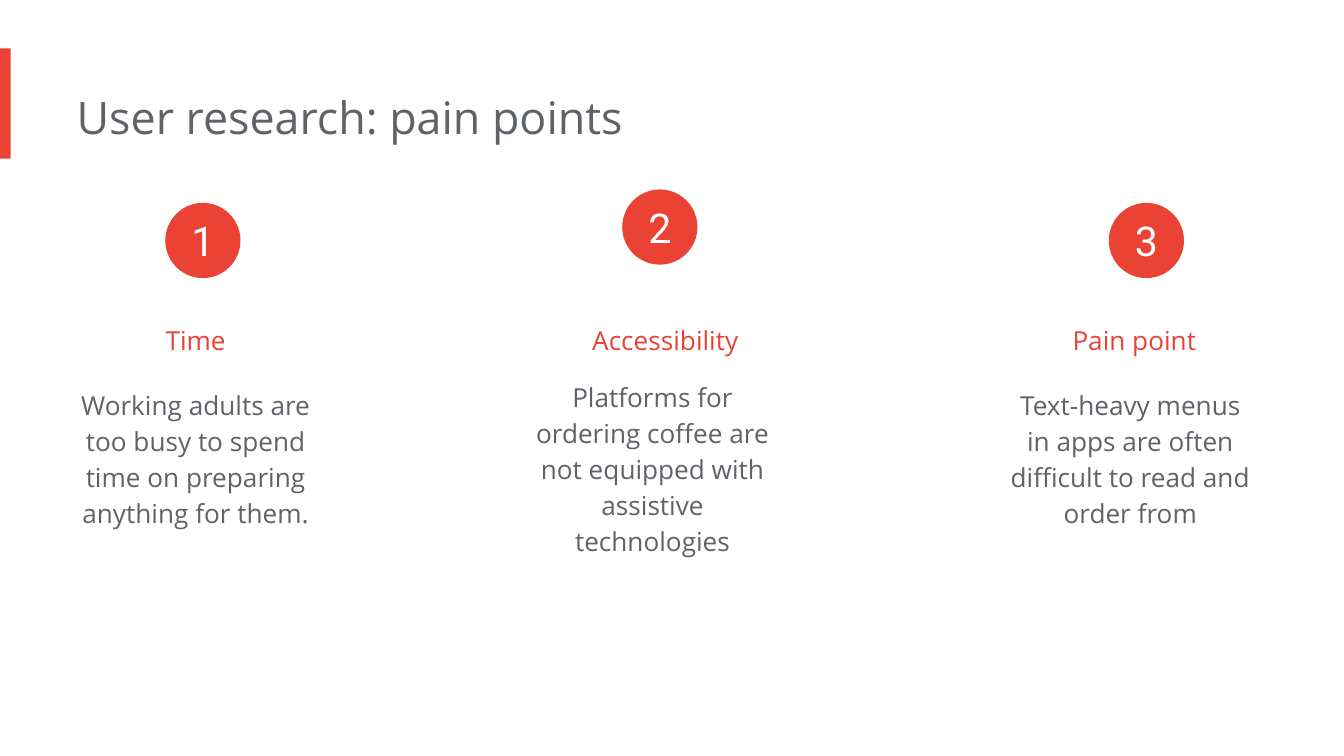
from collections import namedtuple

from pptx import Presentation
from pptx.dml.color import RGBColor
from pptx.enum.shapes import MSO_SHAPE
from pptx.enum.text import MSO_ANCHOR, MSO_AUTO_SIZE, PP_ALIGN
from pptx.util import Inches, Pt

RED = RGBColor(0xEA, 0x43, 0x35)
GRAY = RGBColor(0x5F, 0x63, 0x68)
WHITE = RGBColor(0xFF, 0xFF, 0xFF)
SLIDE_WIDTH = Inches(10)
SLIDE_HEIGHT = SLIDE_WIDTH * 9 // 16
CELL = SLIDE_WIDTH // 100
BADGE = 5.6

Box = namedtuple("Box", "left top width height")
PainPoint = namedtuple("PainPoint", "name detail box badge_left badge_top name_left name_width detail_top detail_height")

PAIN_POINTS = [
    PainPoint("Time", "Working adults are too busy to spend time on preparing anything for them.",
              Box(4.8, 14.1, 20.5, 28.1), 7.5, 1, 0, 20.5, 13.5, 12.5),
    PainPoint("Accessibility", "Platforms for ordering coffee are not equipped with assistive technologies",
              Box(38.8, 14.1, 20.5, 28.1), 7.5, 0, 2.3, 17.8, 12.9, 15.2),
    PainPoint("Pain point", "Text-heavy menus in apps are often difficult to read and order from",
              Box(75.1, 14.1, 19, 28.1), 7.4, 1, 2, 15.6, 13.5, 12.5),
]


def to_lengths(box):
    """Turn a box in grid cells into slide lengths."""
    return [round(value * CELL) for value in box]


def write(shape, text, size, color, align, spacing=1.0, font="Open Sans"):
    """Write one formatted run into a shape."""
    para = shape.text_frame.paragraphs[0]
    para.alignment = align
    para.line_spacing = spacing
    span = para.add_run()
    span.text = text
    span.font.size = Pt(size)
    span.font.name = font
    span.font.color.rgb = color


def set_frame(shape, insets, anchor, auto_size):
    """Set the wrapping, insets and anchor of a text frame."""
    frame = shape.text_frame
    frame.word_wrap = True
    frame.auto_size = auto_size
    frame.vertical_anchor = anchor
    frame.margin_left, frame.margin_top, frame.margin_right, frame.margin_bottom = (
        Inches(inset) for inset in insets)


def set_text_frame(shape):
    """Give a text shape a flush left edge and let it grow."""
    set_frame(shape, (0, 0.1, 0.1, 0.1), MSO_ANCHOR.TOP, MSO_AUTO_SIZE.SHAPE_TO_FIT_TEXT)


def add_red_shape(page, kind, box):
    """Add a flat red shape without an outline."""
    shape = page.shapes.add_shape(kind, *to_lengths(box))
    shape.shadow.inherit = False
    shape.fill.solid()
    shape.fill.fore_color.rgb = RED
    shape.line.fill.background()
    return shape


def add_text(page, box, text, color, spacing):
    """Add a centred text box."""
    shape = page.shapes.add_textbox(*to_lengths(box))
    set_text_frame(shape)
    write(shape, text, 14, color, PP_ALIGN.CENTER, spacing)


def add_header(page, box):
    """Place the accent bar and the title in the header box."""
    add_red_shape(page, MSO_SHAPE.RECTANGLE, Box(box.left, box.top, 0.8, box.height))
    title = page.shapes.title
    title.left, title.top, title.width, title.height = to_lengths(
        Box(box.left + 5.7, box.top + 2.1, box.width - 5.7, box.height - 2.1))
    set_text_frame(title)
    write(title, "User research: pain points", 24, GRAY, PP_ALIGN.LEFT)


def add_pain_point(page, box, number, point):
    """Place a name, a detail and a numbered badge in a column box."""
    add_text(page, Box(box.left + point.name_left, box.top + 7.9, point.name_width, 4.4),
             point.name, RED, 1.5)
    add_text(page, Box(box.left, box.top + point.detail_top, box.width, point.detail_height),
             point.detail, GRAY, 1.15)
    badge = add_red_shape(page, MSO_SHAPE.OVAL, Box(
        box.left + point.badge_left, box.top + point.badge_top, BADGE, BADGE))
    set_frame(badge, (0, 0, 0, 0), MSO_ANCHOR.MIDDLE, MSO_AUTO_SIZE.NONE)
    write(badge, str(number), 22, WHITE, PP_ALIGN.CENTER, font="Roboto")


def main():
    """Build the pain points slide and save it."""
    deck = Presentation()
    deck.slide_width, deck.slide_height = SLIDE_WIDTH, SLIDE_HEIGHT
    page = deck.slides.add_slide(deck.slide_layouts.get_by_name("Title Only"))
    page.background.fill.solid()
    page.background.fill.fore_color.rgb = WHITE
    add_header(page, Box(0, 3.6, 73, 8.2))
    for number, point in enumerate(PAIN_POINTS, 1):
        add_pain_point(page, point.box, number, point)
    deck.save("out.pptx")


if __name__ == "__main__":
    main()
